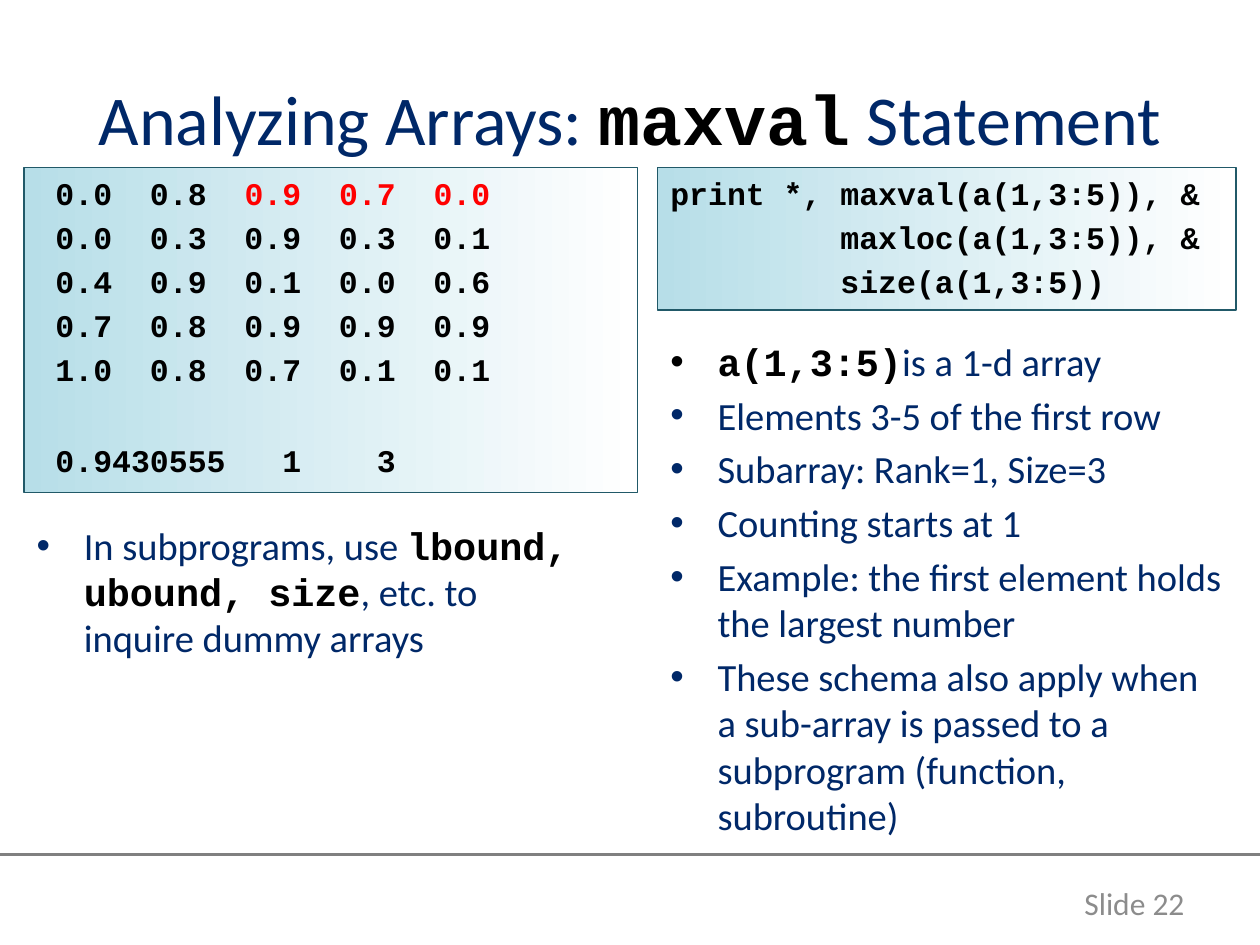
from lxml.etree import SubElement
from pptx import Presentation
from pptx.dml.color import RGBColor
from pptx.enum.shapes import MSO_CONNECTOR
from pptx.enum.text import MSO_ANCHOR, MSO_AUTO_SIZE, PP_ALIGN
from pptx.oxml.ns import qn
from pptx.util import Inches, Pt

NAVY = RGBColor(0x00, 0x28, 0x68)
BLACK = RGBColor(0x00, 0x00, 0x00)
RED = RGBColor(0xFF, 0x00, 0x00)
GRAY = RGBColor(0x80, 0x80, 0x80)
LIGHT_GRAY = RGBColor(0x8C, 0x8C, 0x8C)
TEAL = RGBColor(0x21, 0x59, 0x68)
PALE_TEAL = RGBColor(0xB7, 0xDE, 0xE8)
WHITE = RGBColor(0xFF, 0xFF, 0xFF)

PROSE = {"name": "Calibri", "bold": False, "color": NAVY}
CODE = {"name": "Courier New", "bold": True, "color": BLACK}
MARKED = {**CODE, "color": RED}
FOOTER = {**PROSE, "color": LIGHT_GRAY}

LEFT, RIGHT = 0.19, 5.22
CODE_TOP = 1.33
LIST_WIDTH = 4.59

RESULT_LINES = [
    [(" 0.0  0.8  ", CODE), ("0.9  0.7  0.0", MARKED)],
    [(" 0.0  0.3  0.9  0.3  0.1", CODE)],
    [(" 0.4  0.9  0.1  0.0  0.6", CODE)],
    [(" 0.7  0.8  0.9  0.9  0.9", CODE)],
    [(" 1.0  0.8  0.7  0.1  0.1", CODE)],
    [(" 0.9430555   1    3", CODE)],
]
PRINT_LINES = [
    [("print *, maxval(a(1,3:5)), &", CODE)],
    [("         maxloc(a(1,3:5)), &", CODE)],
    [("         size(a(1,3:5))", CODE)],
]
SUBPROGRAM_POINTS = [
    [("In subprograms, use ", PROSE), ("lbound, ubound, size", CODE),
     (", etc. to inquire dummy arrays", PROSE)],
]
SUBARRAY_POINTS = [
    [("a(1,3:5)", CODE), ("is a 1-d array", PROSE)],
    [("Elements 3-5 of the first row", PROSE)],
    [("Subarray: Rank=1, Size=3", PROSE)],
    [("Counting starts at 1", PROSE)],
    [("Example: the first element holds the largest number", PROSE)],
    [("These schema also apply when a sub-array is passed to a "
      "subprogram (function, subroutine)", PROSE)],
]


def place(box, left, top, width, height):
    position = {"left": left, "top": top, "width": width, "height": height}
    for key, value in position.items():
        setattr(box, key, Inches(value))


def write(box, lines, size, anchor=MSO_ANCHOR.TOP, align=None):
    frame = box.text_frame
    settings = {"word_wrap": True, "auto_size": MSO_AUTO_SIZE.NONE,
                "vertical_anchor": anchor}
    for key, value in settings.items():
        setattr(frame, key, value)
    for index, line in enumerate(lines):
        para = frame.add_paragraph() if index else frame.paragraphs[0]
        para.alignment = align
        for text, style in line:
            span = para.add_run()
            span.text = text
            span.font.size = Pt(size)
            span.font.color.rgb = style["color"]
            for key in ("name", "bold"):
                setattr(span.font, key, style[key])


def fill_title(box):
    place(box, 0.5, 0.31, 9, 1.25)
    line = [("Analyzing Arrays: ", PROSE), ("maxval", CODE),
            (" Statement", PROSE)]
    write(box, [line], 40, MSO_ANCHOR.MIDDLE, PP_ALIGN.CENTER)


def fill_code(box, lines, left, width, height):
    place(box, left, CODE_TOP, width, height)
    box.fill.gradient()
    box.fill.gradient_angle = 0
    for stop, color in zip(box.fill.gradient_stops, (PALE_TEAL, WHITE)):
        stop.color.rgb = color
    box.line.color.rgb = TEAL
    box.line.width = Pt(0.75)
    write(box, lines, 18)


def fill_list(box, points, left, top, height):
    place(box, left, top, LIST_WIDTH, height)
    write(box, points, 22)


def add_footer(page):
    rule = page.shapes.add_connector(
        MSO_CONNECTOR.STRAIGHT, 0, Inches(6.78), Inches(10), Inches(6.78))
    rule.line.color.rgb = GRAY
    rule.line.width = Pt(2)
    SubElement(rule.element.spPr, qn("a:effectLst"))
    box = page.shapes.add_textbox(
        Inches(8.41), Inches(6.97), Inches(1.09), Inches(0.4))
    write(box, [[("Slide 22", FOOTER)]], 18, MSO_ANCHOR.MIDDLE,
          PP_ALIGN.RIGHT)


def main():
    deck = Presentation()
    deck.slide_width, deck.slide_height = Inches(10), Inches(7.5)
    page = deck.slides.add_slide(deck.slide_layouts.get_by_name("Comparison"))
    title, results, subprograms, call, subarray = page.placeholders
    fill_title(title)
    fill_code(results, RESULT_LINES, LEFT, 4.87, 2.58)
    results.text_frame.paragraphs[-1].space_before = Pt(30)
    fill_code(call, PRINT_LINES, RIGHT, LIST_WIDTH, 1.13)
    fill_list(subprograms, SUBPROGRAM_POINTS, LEFT, 4.09, 2.58)
    fill_list(subarray, SUBARRAY_POINTS, RIGHT, 2.63, 4.04)
    add_footer(page)
    deck.save("out.pptx")


main()
